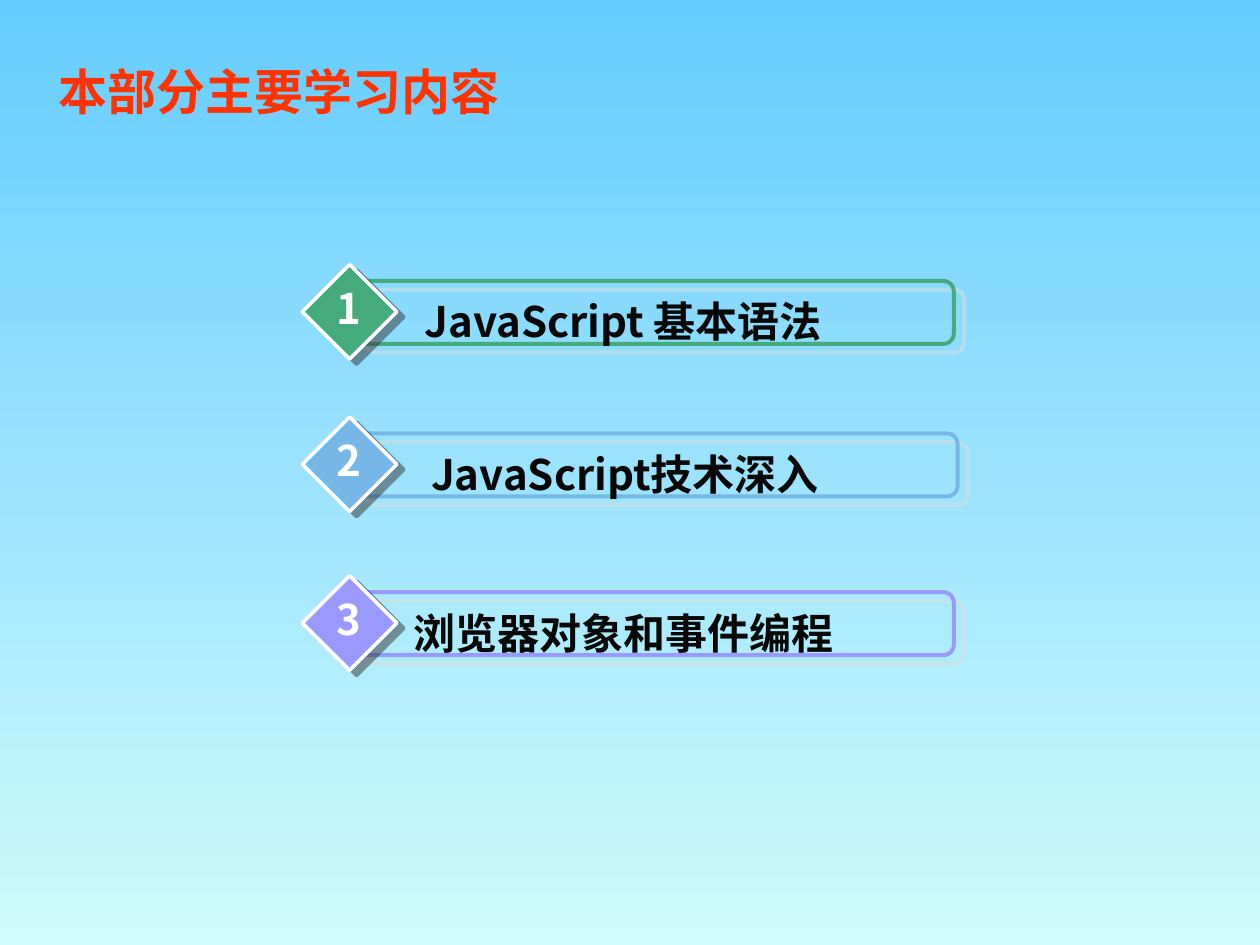
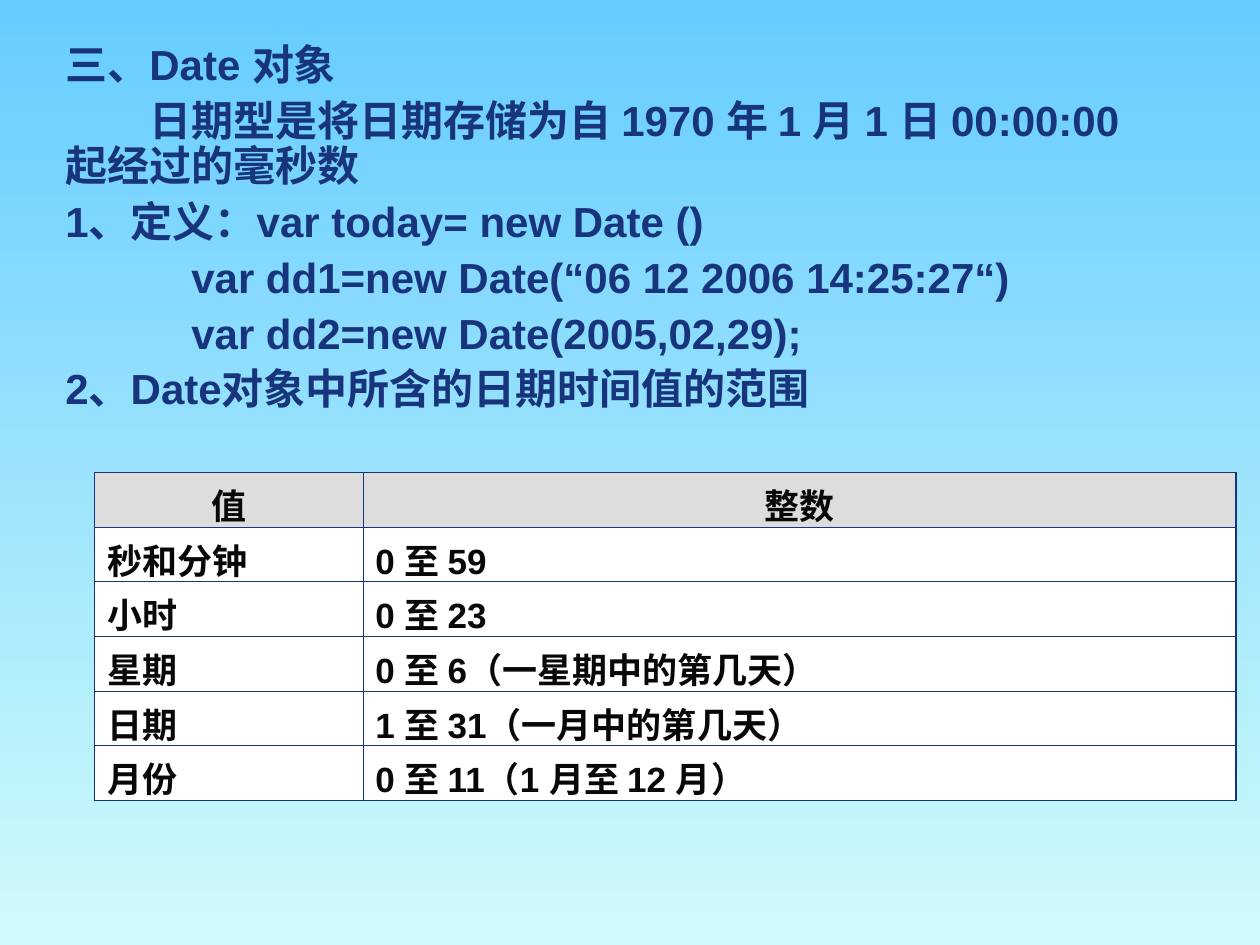
import dataclasses

import lxml.etree
import pptx
import pptx.dml.color
import pptx.enum.shapes
import pptx.enum.text
import pptx.oxml.ns
import pptx.util

Inches = pptx.util.Inches
Pt = pptx.util.Pt
RGBColor = pptx.dml.color.RGBColor
MSO_SHAPE = pptx.enum.shapes.MSO_SHAPE
PP_ALIGN = pptx.enum.text.PP_ALIGN
MSO_AUTO_SIZE = pptx.enum.text.MSO_AUTO_SIZE
qn = pptx.oxml.ns.qn


@dataclasses.dataclass(frozen=True)
class Theme:
    sky: str = "66CCFF"
    mint: str = "D0FBFA"
    title: str = "FF3300"
    navy: str = "17347D"
    ink: str = "080808"
    white: str = "FFFFFF"
    grey: str = "DDDDDD"
    dark_grey: str = "333333"
    green: str = "45AB7D"
    blue: str = "77B7E7"
    violet: str = "9999FF"
    title_font: str = "DejaVu Sans"
    agenda_font: str = "Noto Sans CJK SC"
    body_font: str = "Arial"
    title_size: int = 28
    body_size: int = 24
    table_size: int = 20
    outer_border: float = 1.08
    inner_border: float = 0.45


theme = Theme()


def write_text(paragraph, text, size, font, color, alignment=PP_ALIGN.LEFT):
    paragraph.text = text
    paragraph.alignment = alignment
    for run in paragraph.runs:
        run.font.size = Pt(size)
        run.font.bold = True
        run.font.color.rgb = RGBColor.from_string(color)
        run.font.name = font
        east_asian = lxml.etree.SubElement(run._r.get_or_add_rPr(), qn("a:ea"))
        east_asian.set("typeface", theme.agenda_font)


def add_shadow(shape, color, distance, degrees):
    shape.shadow.inherit = False
    effects = shape._element.spPr.find(qn("a:effectLst"))
    shadow = lxml.etree.SubElement(effects, qn("a:outerShdw"))
    shadow.set("dist", str(Pt(distance)))
    shadow.set("dir", str(degrees * 60000))
    shadow.set("algn", "ctr")
    shadow.set("rotWithShape", "0")
    shadow_color = lxml.etree.SubElement(shadow, qn("a:srgbClr"), val=color)
    lxml.etree.SubElement(shadow_color, qn("a:alpha"), val="50000")


presentation = pptx.Presentation()
presentation.slide_width = Inches(10)
presentation.slide_height = Inches(7.5)
blank_layout = presentation.slide_layouts[6]
agenda_slide, date_slide = [presentation.slides.add_slide(blank_layout) for _ in range(2)]
for slide in (agenda_slide, date_slide):
    background = slide.background.fill
    background.gradient()
    background.gradient_angle = 270
    for stop, color in zip(background.gradient_stops, (theme.sky, theme.mint)):
        stop.color.rgb = RGBColor.from_string(color)

title = agenda_slide.shapes.add_textbox(Inches(0.37), Inches(0.41), Inches(8.53), Inches(0.62))
title.text_frame.word_wrap = True
title.text_frame.vertical_anchor = pptx.enum.text.MSO_ANCHOR.MIDDLE
write_text(title.text_frame.paragraphs[0], "本部分主要学习内容",
           theme.title_size, theme.title_font, theme.title)

topics = [
    ("JavaScript 基本语法", theme.green, 2.1, 4.75),
    ("JavaScript技术深入", theme.blue, 3.31, 4.78),
    ("浏览器对象和事件编程", theme.violet, 4.57, 4.75),
]
for number, (topic, color, top, bar_width) in enumerate(topics, start=1):
    group = agenda_slide.shapes.add_group_shape()

    bar = group.shapes.add_shape(MSO_SHAPE.ROUNDED_RECTANGLE, Inches(2.82), Inches(top + 0.13),
                                 Inches(bar_width), Inches(0.5))
    bar.fill.background()
    bar.line.color.rgb = RGBColor.from_string(color)
    bar.line.width = Pt(2.25)
    add_shadow(bar, theme.grey, 7.8, 40)

    diamond = group.shapes.add_shape(MSO_SHAPE.DIAMOND, Inches(2.4), Inches(top),
                                     Inches(0.75), Inches(0.75))
    diamond.fill.solid()
    diamond.fill.fore_color.rgb = RGBColor.from_string(color)
    diamond.line.color.rgb = RGBColor.from_string(theme.white)
    diamond.line.width = Pt(2)
    add_shadow(diamond, theme.dark_grey, 5, 37)

    for text, left, offset, width, text_color, wrap in (
        (topic, 3.07, 0.2, bar_width - 1, theme.ink, True),
        (str(number), 2.57, 0.09, 0.39, theme.white, False),
    ):
        label = group.shapes.add_textbox(Inches(left), Inches(top + offset),
                                         Inches(width), Inches(0.5))
        label.text_frame.word_wrap = wrap
        label.text_frame.auto_size = MSO_AUTO_SIZE.SHAPE_TO_FIT_TEXT
        write_text(label.text_frame.paragraphs[0], text, theme.body_size,
                   theme.agenda_font, text_color, PP_ALIGN.CENTER)

body_lines = [
    ("三、Date 对象", 0, 0),
    ("日期型是将日期存储为自 1970 年 1 月 1 日 00:00:00 起经过的毫秒数", 0, 0.67),
    ("1、定义：var today= new Date ()", 0, 0),
    ("var dd1=new Date(“06 12 2006 14:25:27“)", 1, 0),
    ("var dd2=new Date(2005,02,29);", 1, 0),
    ("2、Date对象中所含的日期时间值的范围", 0, 0),
]
body = date_slide.shapes.add_textbox(Inches(0.42), Inches(0.3), Inches(8.79), Inches(5.43))
body.text_frame.word_wrap = True
for index, (text, margin, indent) in enumerate(body_lines):
    paragraph = body.text_frame.add_paragraph() if index else body.text_frame.paragraphs[0]
    write_text(paragraph, text, theme.body_size, theme.body_font, theme.navy)
    paragraph.line_spacing = 0.9
    paragraph.space_before = Pt(6 if index else 0)
    properties = paragraph._p.get_or_add_pPr()
    properties.set("marL", str(Inches(margin)))
    properties.set("indent", str(Inches(indent)))

value_ranges = [
    ("值", "整数"),
    ("秒和分钟", "0 至 59"),
    ("小时", "0 至 23"),
    ("星期", "0 至 6（一星期中的第几天）"),
    ("日期", "1 至 31（一月中的第几天）"),
    ("月份", "0 至 11（1 月至 12 月）"),
]
row_count = len(value_ranges)
table = date_slide.shapes.add_table(row_count, 2, Inches(0.75), Inches(3.75),
                                    Inches(9.06), Inches(0.43 * row_count)).table
table.first_row = False
table.horz_banding = False
for column, width in zip(table.columns, (2.13, 6.93)):
    column.width = Inches(width)
for row_index, texts in enumerate(value_ranges):
    is_header = row_index == 0
    for column_index, text in enumerate(texts):
        cell = table.cell(row_index, column_index)
        cell.fill.solid()
        cell.fill.fore_color.rgb = RGBColor.from_string(theme.grey if is_header else theme.white)
        write_text(cell.text_frame.paragraphs[0], text, theme.table_size, theme.body_font,
                   theme.ink, PP_ALIGN.CENTER if is_header else PP_ALIGN.JUSTIFY)
        outer_edges = {
            "a:lnL": column_index == 0,
            "a:lnR": column_index == 1,
            "a:lnT": is_header,
            "a:lnB": row_index == row_count - 1,
        }
        cell_properties = cell._tc.get_or_add_tcPr()
        for position, (edge, is_outer) in enumerate(outer_edges.items()):
            border_width = theme.outer_border if is_outer else theme.inner_border
            border = lxml.etree.Element(qn(edge), w=str(Pt(border_width)))
            border_fill = lxml.etree.SubElement(border, qn("a:solidFill"))
            lxml.etree.SubElement(border_fill, qn("a:srgbClr"), val=theme.navy)
            cell_properties.insert(position, border)

presentation.save("out.pptx")
